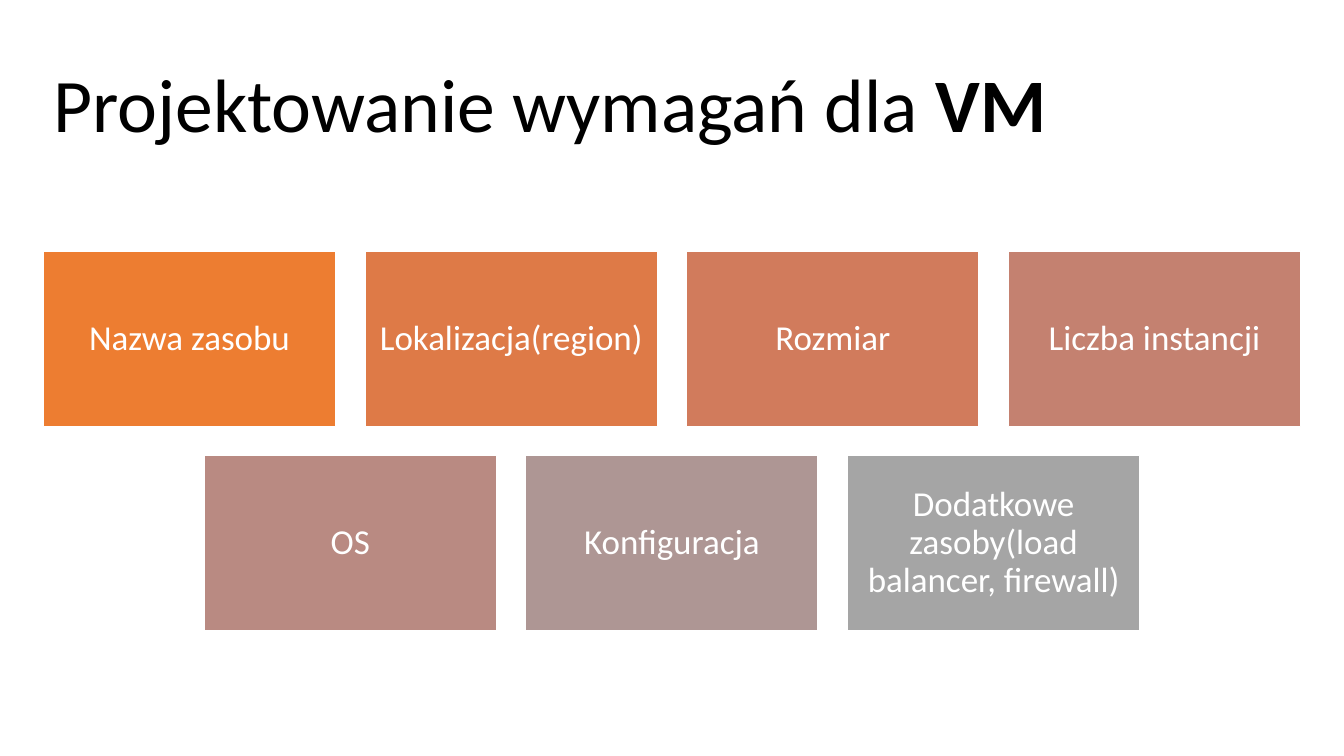
from pptx import Presentation
from pptx.dml.color import RGBColor
from pptx.enum.shapes import MSO_SHAPE
from pptx.enum.text import MSO_ANCHOR, MSO_AUTO_SIZE, PP_ALIGN
from pptx.util import Inches, Pt

LEFT, TOP = 0.43, 2.49
CARD_W, CARD_H, GAP = 2.9, 1.74, 0.29
ROW_W = 4 * CARD_W + 3 * GAP

ROWS = [
    [("Nazwa zasobu", "ED7D31"), ("Lokalizacja(region)", "DE7A47"),
     ("Rozmiar", "D17B5C"), ("Liczba instancji", "C48170")],
    [("OS", "B98A82"), ("Konfiguracja", "AE9694"),
     ("Dodatkowe zasoby(load balancer, firewall)", "A5A5A5")],
]


def rgb(value):
    return RGBColor.from_string(value)


def format_paragraph(p, size, color, align):
    p.alignment = align
    p.line_spacing = 0.9
    p.font.name = "Calibri"
    p.font.size = Pt(size)
    p.font.color.rgb = rgb(color)


def add_title(slide, text, bold_text):
    sp = slide.shapes.title
    sp.left, sp.top = Inches(LEFT), Inches(0.35)
    sp.width, sp.height = Inches(12.48), Inches(1.45)
    tf = sp.text_frame
    tf.auto_size = MSO_AUTO_SIZE.NONE
    tf.vertical_anchor = MSO_ANCHOR.MIDDLE
    p = tf.paragraphs[0]
    p.add_run().text = text
    r = p.add_run()
    r.text = bold_text
    r.font.bold = True
    format_paragraph(p, 54, "000000", PP_ALIGN.LEFT)


def add_card(slide, x, y, text, fill):
    sp = slide.shapes.add_shape(MSO_SHAPE.RECTANGLE, Inches(x), Inches(y),
                                Inches(CARD_W), Inches(CARD_H))
    sp.shadow.inherit = False
    sp.fill.solid()
    sp.fill.fore_color.rgb = rgb(fill)
    sp.line.color.rgb = rgb("FFFFFF")
    sp.line.width = Pt(1)
    tf = sp.text_frame
    tf.word_wrap = True
    tf.vertical_anchor = MSO_ANCHOR.MIDDLE
    tf.margin_left = tf.margin_right = Inches(0.1)
    tf.margin_top = tf.margin_bottom = Inches(0.1)
    p = tf.paragraphs[0]
    p.text = text
    format_paragraph(p, 25, "FFFFFF", PP_ALIGN.CENTER)


def add_card_row(slide, y, cards):
    width = len(cards) * (CARD_W + GAP) - GAP
    left = LEFT + (ROW_W - width) / 2
    for i, (text, fill) in enumerate(cards):
        add_card(slide, left + i * (CARD_W + GAP), y, text, fill)


def main():
    prs = Presentation()
    prs.slide_width, prs.slide_height = Inches(13.33), Inches(7.5)
    slide = prs.slides.add_slide(prs.slide_layouts[5])
    add_title(slide, "Projektowanie wymagań dla ", "VM")
    for i, cards in enumerate(ROWS):
        add_card_row(slide, TOP + i * (CARD_H + GAP), cards)
    prs.save("out.pptx")


if __name__ == "__main__":
    main()
